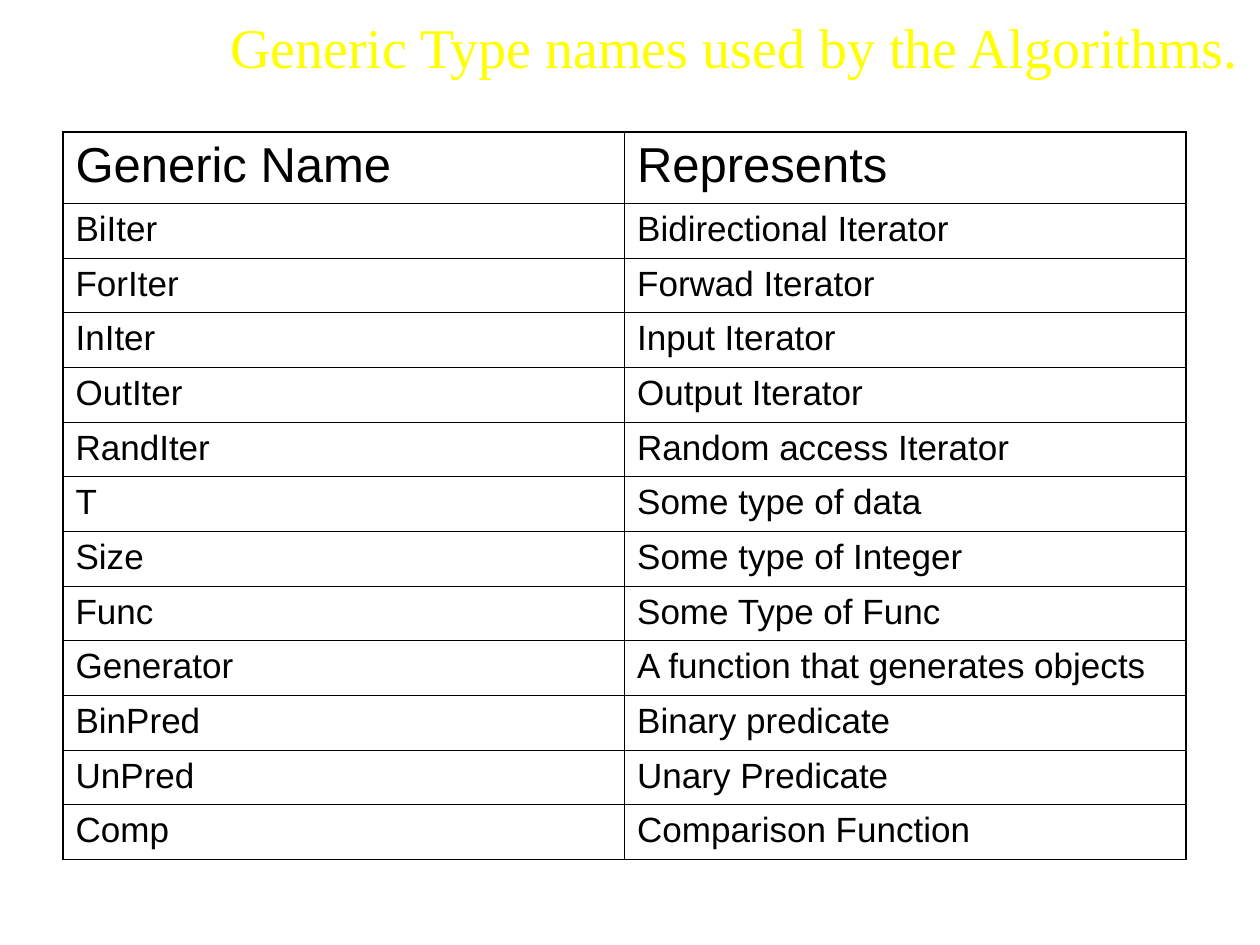
import lxml.etree
import pptx
import pptx.dml.color
import pptx.enum.text
import pptx.oxml.ns
import pptx.util

Cm = pptx.util.Cm
Pt = pptx.util.Pt
BLACK = pptx.dml.color.RGBColor(0, 0, 0)
YELLOW = pptx.dml.color.RGBColor(255, 255, 0)

TITLE = {"name": "Times New Roman", "size": Pt(32), "bold": False}
HEAD = {"name": "Arial", "size": Pt(28), "bold": False}
BODY = {"name": "Arial", "size": Pt(20), "bold": False}
THICK, THIN = Pt(1.08), Pt(0.45)

TYPES = [
    ("Generic Name", "Represents"),
    ("BiIter", "Bidirectional Iterator"),
    ("ForIter", "Forwad Iterator"),
    ("InIter", "Input Iterator"),
    ("OutIter", "Output Iterator"),
    ("RandIter", "Random access Iterator"),
    ("T", "Some type of data"),
    ("Size", "Some type of Integer"),
    ("Func", "Some Type of Func"),
    ("Generator", "A function that generates objects"),
    ("BinPred", "Binary predicate"),
    ("UnPred", "Unary Predicate"),
    ("Comp", "Comparison Function"),
]


def write(frame, text, form, color):
    part = frame.paragraphs[0]
    run = part.add_run()
    run.text = text
    for key, value in form.items():
        setattr(run.font, key, value)
    run.font.color.rgb = color
    return part


def add_title(slide, text):
    box = slide.shapes.add_textbox(Cm(4.22), Cm(0), Cm(21.18), Cm(3.38))
    frame = box.text_frame
    frame.word_wrap = True
    frame.margin_top = Cm(0.25)
    part = write(frame, text, TITLE, YELLOW)
    part.alignment = pptx.enum.text.PP_ALIGN.CENTER


def add_edge(cell, side, width):
    qn = pptx.oxml.ns.qn
    props = cell._tc.get_or_add_tcPr()
    line = lxml.etree.SubElement(props, qn("a:ln" + side), w=str(width))
    fill = lxml.etree.SubElement(line, qn("a:solidFill"))
    lxml.etree.SubElement(fill, qn("a:srgbClr"), val=str(BLACK))


def add_grid(slide, rows):
    last = len(rows) - 1
    high = Cm(1.44) + last * Cm(1.1)
    shape = slide.shapes.add_table(
        len(rows), 2, Cm(1.27), Cm(2.66), Cm(22.64), high)
    table = shape.table
    table.first_row = table.horz_banding = False
    for r, row in enumerate(rows):
        table.rows[r].height = Cm(1.1) if r else Cm(1.44)
        for c, text in enumerate(row):
            cell = table.cell(r, c)
            write(cell.text_frame, text, BODY if r else HEAD, BLACK)
            outer = {"L": c == 0, "R": c == 1, "T": r == 0, "B": r == last}
            for side, edge in outer.items():
                add_edge(cell, side, THICK if edge else THIN)
            cell.fill.background()


def main():
    deck = pptx.Presentation()
    deck.slide_width, deck.slide_height = Cm(25.4), Cm(19.05)
    slide = deck.slides.add_slide(deck.slide_layouts[6])
    add_title(slide, "Generic Type names used by the Algorithms.")
    add_grid(slide, TYPES)
    deck.save("out.pptx")


if __name__ == "__main__":
    main()
